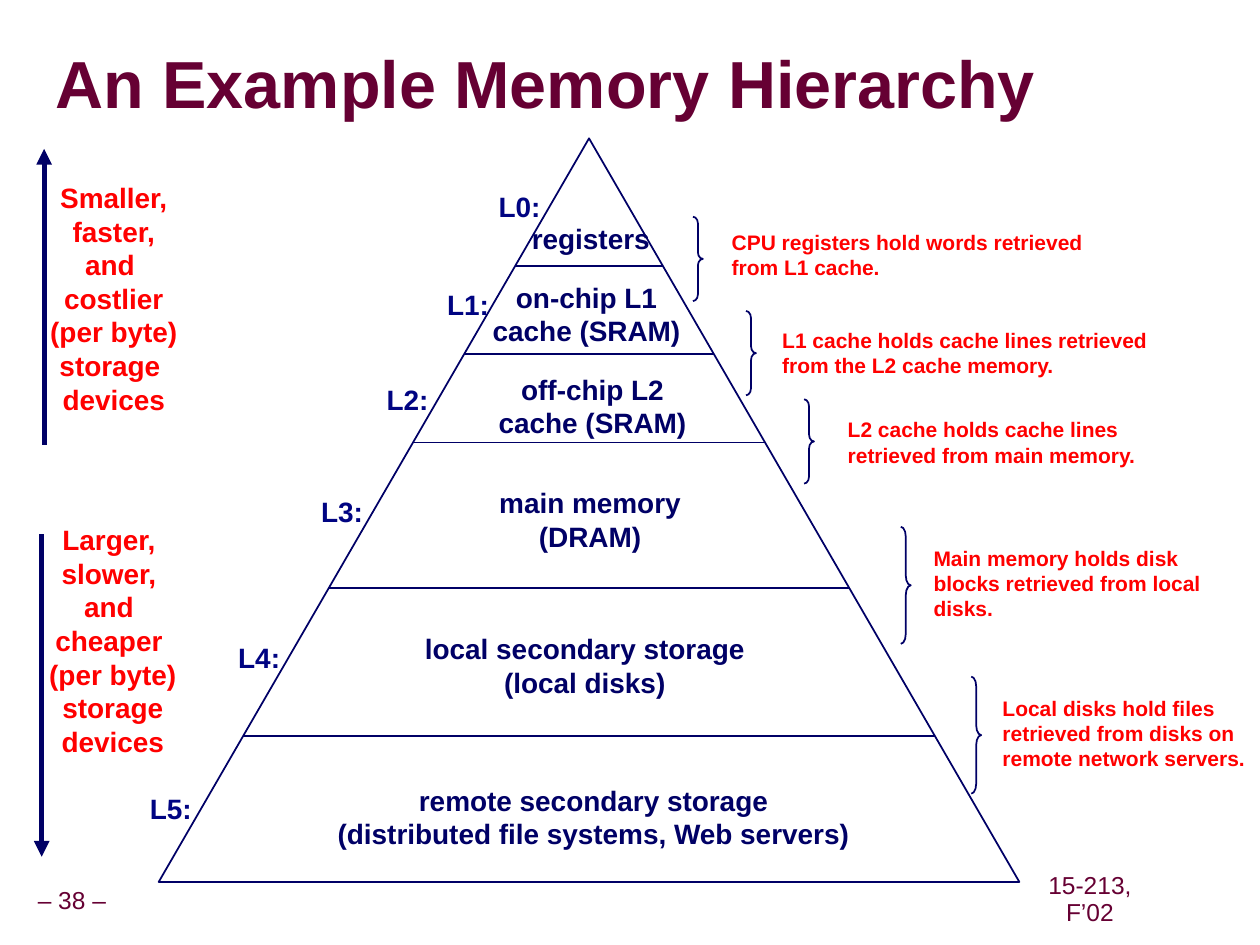
import pptx
import pptx.util
import pptx.dml.color
import pptx.enum.shapes
import pptx.enum.text
import pptx.oxml
import pptx.oxml.ns

Cm = pptx.util.Cm
Pt = pptx.util.Pt
ALIGN = pptx.enum.text.PP_ALIGN
SHAPE = pptx.enum.shapes.MSO_SHAPE
COLORS = {"title": "660033", "navy": "000066", "label": "000482", "red": "FF0000", "shadow": "999999"}
NAMESPACE = pptx.oxml.ns.nsdecls("a")

presentation = pptx.Presentation()
presentation.slide_width = Cm(25.4)
presentation.slide_height = Cm(19.05)
slide = presentation.slides.add_slide(presentation.slide_layouts[5])


def write_text(text, left, top, width, height, size=16, color="navy", bold=True,
               align=ALIGN.CENTER, wrap=False, spacing=None, inset=None, shape=None):
    if shape is None:
        shape = slide.shapes.add_textbox(0, 0, 0, 0)
    shape.left, shape.top, shape.width, shape.height = Cm(left), Cm(top), Cm(width), Cm(height)
    frame = shape.text_frame
    frame.auto_size = pptx.enum.text.MSO_AUTO_SIZE.NONE
    frame.word_wrap = wrap
    frame.vertical_anchor = pptx.enum.text.MSO_ANCHOR.MIDDLE
    if inset is not None:
        frame.margin_left = frame.margin_right = frame.margin_top = frame.margin_bottom = Cm(inset)
    frame.text = text
    for paragraph in frame.paragraphs:
        paragraph.alignment = align
        if spacing:
            paragraph.line_spacing = spacing
        font = paragraph.runs[0].font
        font.name = "Arial"
        font.size = Pt(size)
        font.bold = bold
        font.color.rgb = pptx.dml.color.RGBColor.from_string(COLORS[color])
    return shape


def draw_line(x1, y1, x2, y2, width=1, arrow=False):
    line = slide.shapes.add_connector(
        pptx.enum.shapes.MSO_CONNECTOR.STRAIGHT, Cm(x1), Cm(y1), Cm(x2), Cm(y2))
    line.line.width = Pt(width)
    line.line.color.rgb = pptx.dml.color.RGBColor.from_string(COLORS["navy"])
    if arrow:
        line.line._get_or_add_ln().append(
            pptx.oxml.parse_xml(f'<a:tailEnd {NAMESPACE} type="triangle"/>'))
    line._element.spPr.append(pptx.oxml.parse_xml(f"<a:effectLst {NAMESPACE}/>"))


title = write_text("An Example Memory Hierarchy", 1.12, 0.69, 24.2, 2.16, size=38, color="title",
                   align=ALIGN.LEFT, wrap=True, spacing=0.87, inset=0, shape=slide.shapes.title)
title_font = title.text_frame.paragraphs[0].runs[0].font
title_font.fill._xPr.find(pptx.oxml.ns.qn("a:solidFill")).addnext(pptx.oxml.parse_xml(
    f'<a:effectLst {NAMESPACE}><a:outerShdw dist="53882" dir="2700000">'
    f'<a:srgbClr val="{COLORS["shadow"]}"/></a:outerShdw></a:effectLst>'))

write_text("– 38 –", 0.61, 17.78, 1.68, 0.79, size=14, color="title", bold=False, spacing=0.9, inset=0.13)
write_text("15-213, F’02", 8.2 * 2.54, 17.75, 2.29, 0.79, size=14, color="title", bold=False,
           wrap=True, spacing=0.9, inset=0.13)

pyramid_left, pyramid_top, pyramid_width, pyramid_height = 3.2, 2.79, 17.35, 14.99
pyramid = slide.shapes.add_shape(SHAPE.ISOSCELES_TRIANGLE, Cm(pyramid_left), Cm(pyramid_top),
                                 Cm(pyramid_width), Cm(pyramid_height))
outlines = [pyramid]

pyramid_center = pyramid_left + pyramid_width / 2
for divider in (5.36, 7.14, 8.92, 11.86, 14.83):
    half = (divider - pyramid_top) * pyramid_width / pyramid_height / 2
    draw_line(pyramid_center - half, divider, pyramid_center + half, divider)

levels = [
    ("registers", 10.46, 4.34, 2.9, 0.94, 9.8, 3.68),
    ("on-chip L1\ncache (SRAM)", 9.68, 5.51, 4.29, 1.63, 8.76, 5.66),
    ("off-chip L2\ncache (SRAM)", 9.8, 7.37, 4.29, 1.63, 7.54, 7.59),
    ("main memory\n(DRAM)", 9.8, 9.65, 4.19, 1.63, 6.22, 9.83),
    ("local secondary storage\n(local disks)", 8.31, 12.6, 6.96, 1.63, 4.55, 12.78),
    ("remote secondary storage\n(distributed file systems, Web servers)",
     6.53, 15.65, 10.87, 1.63, 2.77, 15.82),
]
for number, (name, left, top, width, height, label_left, label_top) in enumerate(levels):
    write_text(name, left, top, width, height)
    write_text(f"L{number}:", label_left, label_top, 1.35, 0.94, color="label")

notes = [
    ("CPU registers hold words retrieved from L1 cache.", 14.5, 4.5, 8.1, 1.27, 13.97, 4.37, 1.7, 0.67),
    ("L1 cache holds cache lines retrieved from the L2 cache memory.",
     15.52, 6.48, 7.87, 1.27, 15.04, 6.27, 1.7, 0.72),
    ("L2 cache holds cache lines retrieved from main memory.",
     16.84, 8.28, 7.29, 1.27, 16.21, 8.05, 1.7, 0.72),
    ("Main memory holds disk\nblocks retrieved from local\ndisks.",
     18.57, 10.87, 6.8, 1.78, 18.16, 10.62, 2.36, 1),
    ("Local disks hold files retrieved from disks on remote network servers.",
     19.96, 13.89, 5.74, 1.78, 19.58, 13.64, 2.36, 1),
]
for note, left, top, width, height, brace_left, brace_top, brace_height, curve in notes:
    write_text(note, left, top, width, height, size=12, color="red", align=ALIGN.LEFT, wrap=True)
    brace = slide.shapes.add_shape(SHAPE.RIGHT_BRACE, Cm(brace_left), Cm(brace_top),
                                   Cm(0.2), Cm(brace_height))
    brace.adjustments[0] = curve
    outlines.append(brace)

for shape in outlines:
    shape.shadow.inherit = False
    shape.fill.background()
    shape.line.width = Pt(1)
    shape.line.color.rgb = pptx.dml.color.RGBColor.from_string(COLORS["navy"])

write_text("Smaller,\nfaster,\nand \ncostlier\n(per byte)\nstorage \ndevices",
           0.76, 3.51, 3.07, 5, color="red")
draw_line(0.89, 8.97, 0.89, 3, width=3, arrow=True)
write_text("Larger, \nslower, \nand \ncheaper \n(per byte)\nstorage\ndevices",
           0.74, 10.41, 3.07, 5, color="red")
draw_line(0.84, 10.77, 0.84, 17.27, width=3, arrow=True)

presentation.save("out.pptx")
